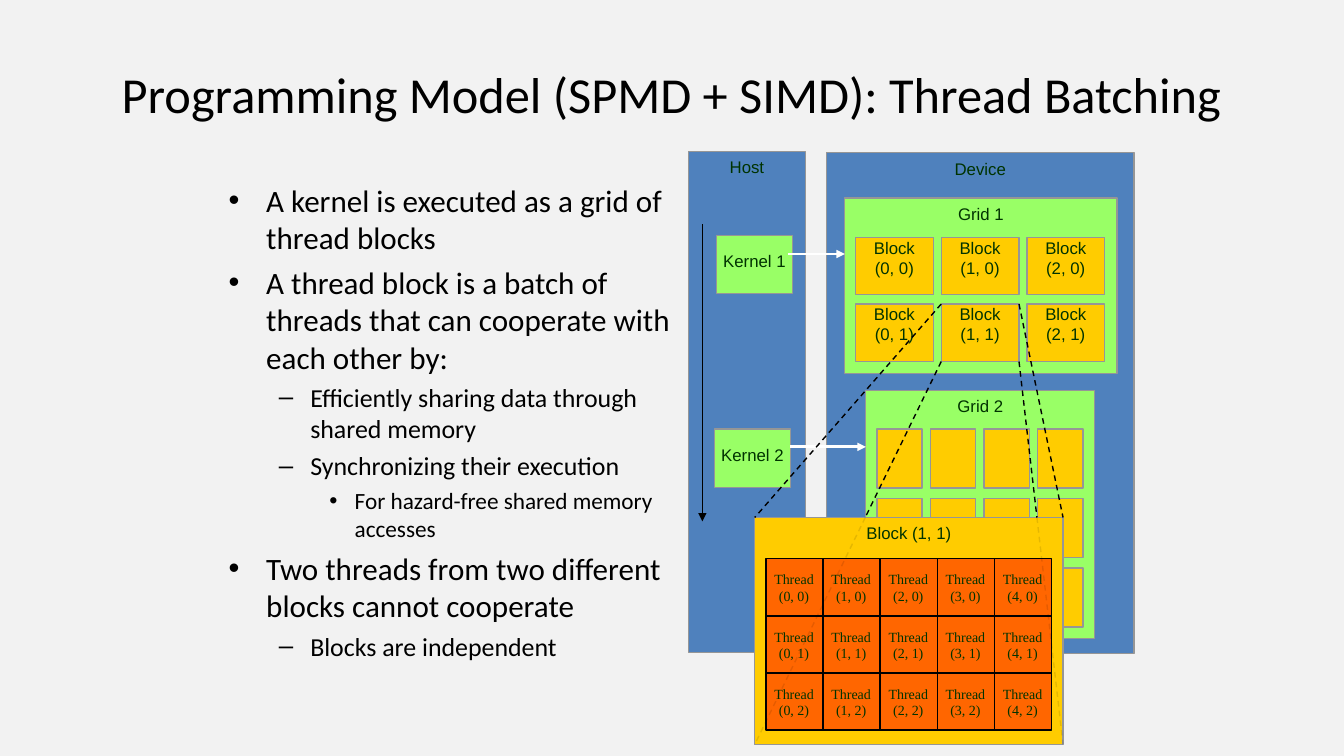
from itertools import product

from lxml.etree import SubElement
from pptx import Presentation
from pptx.dml.color import RGBColor
from pptx.enum.dml import MSO_LINE
from pptx.enum.shapes import MSO_CONNECTOR, MSO_SHAPE
from pptx.enum.text import MSO_ANCHOR, PP_ALIGN
from pptx.oxml.ns import qn
from pptx.util import Cm, Pt

COLORS = {
    "back": "F2F2F2", "black": "000000", "white": "FFFFFF", "label": "003300",
    "edge": "969696", "blue": "4F81BD", "green": "99FF66", "yellow": "FFCC00",
    "orange": "FF6600",
}
LEVELS = [
    {"size": 22.2, "left": 0.95, "hang": 0.95, "char": "•", "before": 5.2},
    {"size": 18.5, "left": 2.06, "hang": 0.79, "char": "–", "before": 4.4},
    {"size": 16.6, "left": 3.18, "hang": 0.64, "char": "•", "before": 4},
]
BULLETS = [
    (0, "A kernel is executed as a grid of thread blocks"),
    (0, "A thread block is a batch of threads that can cooperate with each other by:"),
    (1, "Efficiently sharing data through shared memory"),
    (1, "Synchronizing their execution"),
    (2, "For hazard-free shared memory accesses"),
    (0, "Two threads from two different blocks cannot cooperate"),
    (1, "Blocks are independent"),
]


def rgb(name):
    """Return the named colour."""
    return RGBColor.from_string(COLORS[name])


def set_all(obj, values):
    """Set each attribute of obj from a dict."""
    for name, value in values.items():
        setattr(obj, name, value)


def add_run(p, text, size, font, color):
    """Add a formatted run to a paragraph."""
    r = p.add_run()
    r.text = text
    set_all(r.font, {"size": Pt(size), "name": font})
    r.font.color.rgb = rgb(color)


def write(tf, text, size=12, font="Arial", color="label", top=0.0,
          anchor=MSO_ANCHOR.TOP, wrap=True):
    """Fill a text frame with centred lines."""
    set_all(tf, {"margin_left": 0, "margin_right": 0, "margin_bottom": 0,
                 "margin_top": Cm(top), "vertical_anchor": anchor, "word_wrap": wrap})
    for i, line in enumerate(text.split("\n")):
        p = tf.add_paragraph() if i else tf.paragraphs[0]
        p.alignment = PP_ALIGN.CENTER
        add_run(p, line, size, font, color)


def add_text(s, box):
    """Add an empty text box."""
    return s.shapes.add_textbox(*map(Cm, box)).text_frame


def add_panel(s, box, fill, text="", top=0.14, edge="edge"):
    """Add a filled rectangle with an optional label near its top."""
    sp = s.shapes.add_shape(MSO_SHAPE.RECTANGLE, *map(Cm, box))
    sp.shadow.inherit = False
    sp.fill.solid()
    sp.fill.fore_color.rgb = rgb(fill)
    sp.line.color.rgb = rgb(edge)
    sp.line.width = Pt(1)
    if text:
        write(sp.text_frame, text, top=top)


def add_line(s, start, end, color="black", width=1, dash=None, arrow=False, opacity=100):
    """Add a straight line, optionally dashed, arrowed or translucent."""
    sp = s.shapes.add_connector(MSO_CONNECTOR.STRAIGHT, *map(Cm, (*start, *end)))
    sp.line.color.rgb = rgb(color)
    set_all(sp.line, {"width": Pt(width), "dash_style": dash})
    ln = sp.line._ln
    if opacity < 100:
        SubElement(ln.find(".//" + qn("a:srgbClr")), qn("a:alpha"), val=str(opacity * 1000))
    if arrow:
        SubElement(ln, qn("a:tailEnd"), type="triangle")
    SubElement(sp._element.spPr, qn("a:effectLst"))


def add_title(s, box):
    """Place the slide title."""
    write(add_text(s, box), "Programming Model (SPMD + SIMD): Thread Batching",
          36, "Calibri", "black", anchor=MSO_ANCHOR.MIDDLE)


def add_bullets(s, box):
    """Place the bulleted text."""
    tf = add_text(s, box)
    tf.word_wrap = True
    for i, (level, text) in enumerate(BULLETS):
        style = LEVELS[level]
        p = tf.add_paragraph() if i else tf.paragraphs[0]
        p.level = level
        pPr = p._p.get_or_add_pPr()
        pPr.set("marL", str(Cm(style["left"])))
        pPr.set("indent", str(-Cm(style["hang"])))
        SubElement(pPr, qn("a:buFont"), typeface="Arial")
        SubElement(pPr, qn("a:buChar"), char=style["char"])
        if i:
            p.space_before = Pt(style["before"])
        add_run(p, text, style["size"], "Calibri", "black")


def add_host(s, box):
    """Place the host with its kernels and time arrow."""
    x, y, w, h = box
    add_panel(s, box, "blue", "Host")
    add_panel(s, (x + 0.71, y + 2.11, 1.91, 1.47), "green", "Kernel 1", 0.4)
    add_panel(s, (x + 0.66, y + 6.99, 1.91, 1.47), "green", "Kernel 2", 0.4)
    add_line(s, (x + 0.35, y + 1.83), (x + 0.35, y + 9.32), arrow=True)


def add_grid_1(s, box):
    """Place the labelled grid and return the box of block (1, 1)."""
    x, y, w, h = box
    add_panel(s, box, "green", "Grid 1")
    blocks = {(c, r): (x + 0.27 + 2.16 * c, y + 0.99 + 1.68 * r, 1.96, 1.45)
              for r, c in product(range(2), range(3))}
    for (c, r), block in blocks.items():
        add_panel(s, block, "yellow", f"Block\n({c}, {r})", 0)
    return blocks[1, 1]


def add_grid_2(s, box):
    """Place the unlabelled grid, with only the blocks that stay in view."""
    x, y, w, h = box
    add_panel(s, box, "green", "Grid 2")
    for r, c in product(range(3), range(4)):
        if r < 2 or c == 3:
            add_panel(s, (x + 0.28 + 1.35 * c, y + 0.97 + 1.75 * r, 1.14, 1.49), "yellow")


def add_block_detail(s, box):
    """Place the enlarged block with its threads."""
    x, y, w, h = box
    cell, cols, rows = 1.44, 5, 3
    left, top = x + 0.28, y + 1.04
    right, bottom = left + cell * cols, top + cell * rows
    add_panel(s, box, "yellow", "Block (1, 1)")
    add_panel(s, (left, top, right - left, bottom - top), "orange", edge="black")
    for r in range(1, rows):
        add_line(s, (left, top + cell * r), (right, top + cell * r))
    for c in range(1, cols):
        add_line(s, (left + cell * c, top), (left + cell * c, bottom))
    for r, c in product(range(rows), range(cols)):
        tf = add_text(s, (left + 0.15 + cell * c, top + 0.3 + cell * r, 1.12, 0.86))
        write(tf, f"Thread\n({c}, {r})", 10, "Times New Roman",
              anchor=MSO_ANCHOR.MIDDLE, wrap=False)


def add_zoom(s, block, detail):
    """Join the corners of a block to those of its enlargement, faint where they overlap."""
    bx, by, bw, bh = block
    dx, dy, dw, dh = detail
    for start, end in (((bx, by), (dx, dy)), ((bx + bw, by), (dx + dw, dy))):
        add_line(s, start, end, dash=MSO_LINE.DASH)
    share = (dy - by - bh) / (dy + dh - by - bh)
    for x1, x2 in ((bx, dx), (bx + bw, dx + dw)):
        entry = (x1 + share * (x2 - x1), dy)
        add_line(s, (x1, by + bh), entry, dash=MSO_LINE.DASH)
        add_line(s, entry, (x2, dy + dh), dash=MSO_LINE.DASH, opacity=10)


def add_diagram(s, box):
    """Place the host, device, grids and enlarged block."""
    x, y, w, h = box
    detail = (x + 1.67, y + 9.22, 7.77, 5.72)
    add_host(s, (x, y, 2.95, 12.62))
    add_panel(s, (x + 3.48, y + 0.03, 7.75, 12.62), "blue", "Device")
    block = add_grid_1(s, (x + 3.94, y + 1.17, 6.86, 4.42))
    add_grid_2(s, (x + 4.47, y + 6.02, 5.77, 6.25))
    add_block_detail(s, detail)
    for x1, x2, dy in ((2.51, 3.94, 2.58), (2.56, 4.47, 7.44)):
        add_line(s, (x + x1, y + dy), (x + x2, y + dy), "white", 2, arrow=True)
    add_zoom(s, block, detail)


def main():
    """Build and save the slide."""
    prs = Presentation()
    prs.slide_width, prs.slide_height = Cm(33.87), Cm(19.05)
    s = prs.slides.add_slide(prs.slide_layouts[6])
    s.background.fill.solid()
    s.background.fill.fore_color.rgb = rgb("back")
    add_title(s, (1.69, 0.76, 30.48, 3.18))
    add_bullets(s, (5.51, 4.45, 12.12, 12.57))
    add_diagram(s, (17.35, 3.82, 11.23, 14.94))
    prs.save("out.pptx")


if __name__ == "__main__":
    main()
